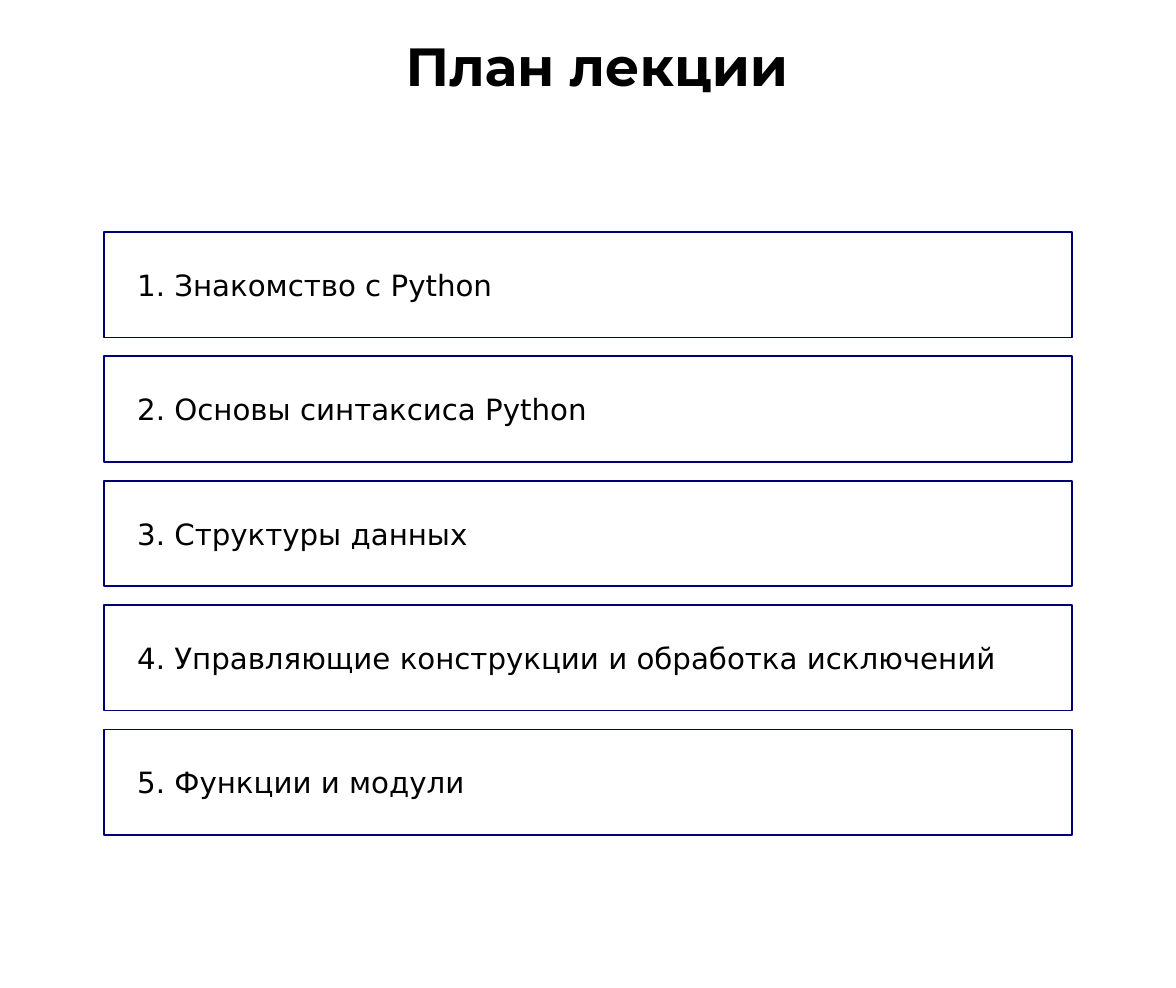
from pptx import Presentation
from pptx.dml.color import RGBColor
from pptx.enum import shapes, text
from pptx.util import Inches, Pt

BLACK = RGBColor(0x00, 0x00, 0x00)
NAVY = RGBColor(0x00, 0x00, 0x72)

TITLE_FONT = {"name": "Montserrat", "size": Pt(22), "bold": True}
TOPIC_FONT = {"name": "DejaVu Sans", "size": Pt(12), "bold": False}
FRAME = {
    "word_wrap": True,
    "auto_size": text.MSO_AUTO_SIZE.NONE,
    "vertical_anchor": text.MSO_ANCHOR.MIDDLE,
    "margin_left": Inches(0.19),
    "margin_right": Inches(0.1),
    "margin_top": Inches(0.05),
    "margin_bottom": Inches(0.05),
}

TOPICS = [
    "Знакомство с Python",
    "Основы синтаксиса Python",
    "Структуры данных",
    "Управляющие конструкции и обработка исключений",
    "Функции и модули",
]
FIRST_TOP, LAST_TOP = 1.32, 4.15


class PlanSlide:
    def __init__(self, prs):
        self.s = prs.slides.add_slide(prs.slide_layouts[5])

    def set_text(self, sp, words, font, align):
        tf = sp.text_frame
        for name, value in FRAME.items():
            setattr(tf, name, value)
        p = tf.paragraphs[0]
        p.alignment = align
        r = p.add_run()
        r.text = words
        for name, value in font.items():
            setattr(r.font, name, value)
        r.font.color.rgb = BLACK

    def title(self, words, left, top, width, height):
        sp = self.s.shapes.title
        place = {"left": left, "top": top, "width": width, "height": height}
        for name, value in place.items():
            setattr(sp, name, Inches(value))
        self.set_text(sp, words, TITLE_FONT, text.PP_ALIGN.CENTER)

    def topic(self, words, left, top, width, height):
        box = [Inches(v) for v in (left, top, width, height)]
        sp = self.s.shapes.add_shape(shapes.MSO_SHAPE.RECTANGLE, *box)
        sp.shadow.inherit = False
        sp.fill.background()
        sp.line.color.rgb = NAVY
        sp.line.width = Pt(0.75)
        self.set_text(sp, words, TOPIC_FONT, text.PP_ALIGN.LEFT)


def main():
    prs = Presentation()
    prs.slide_width, prs.slide_height = Inches(6.69), Inches(5.62)
    plan = PlanSlide(prs)
    plan.title("План лекции", 0.2, 0.11, 6.3, 0.52)
    pitch = (LAST_TOP - FIRST_TOP) / (len(TOPICS) - 1)
    for i, topic in enumerate(TOPICS):
        plan.topic(f"{i + 1}. {topic}", 0.59, FIRST_TOP + i * pitch, 5.51, 0.6)
    prs.save("out.pptx")


if __name__ == "__main__":
    main()
